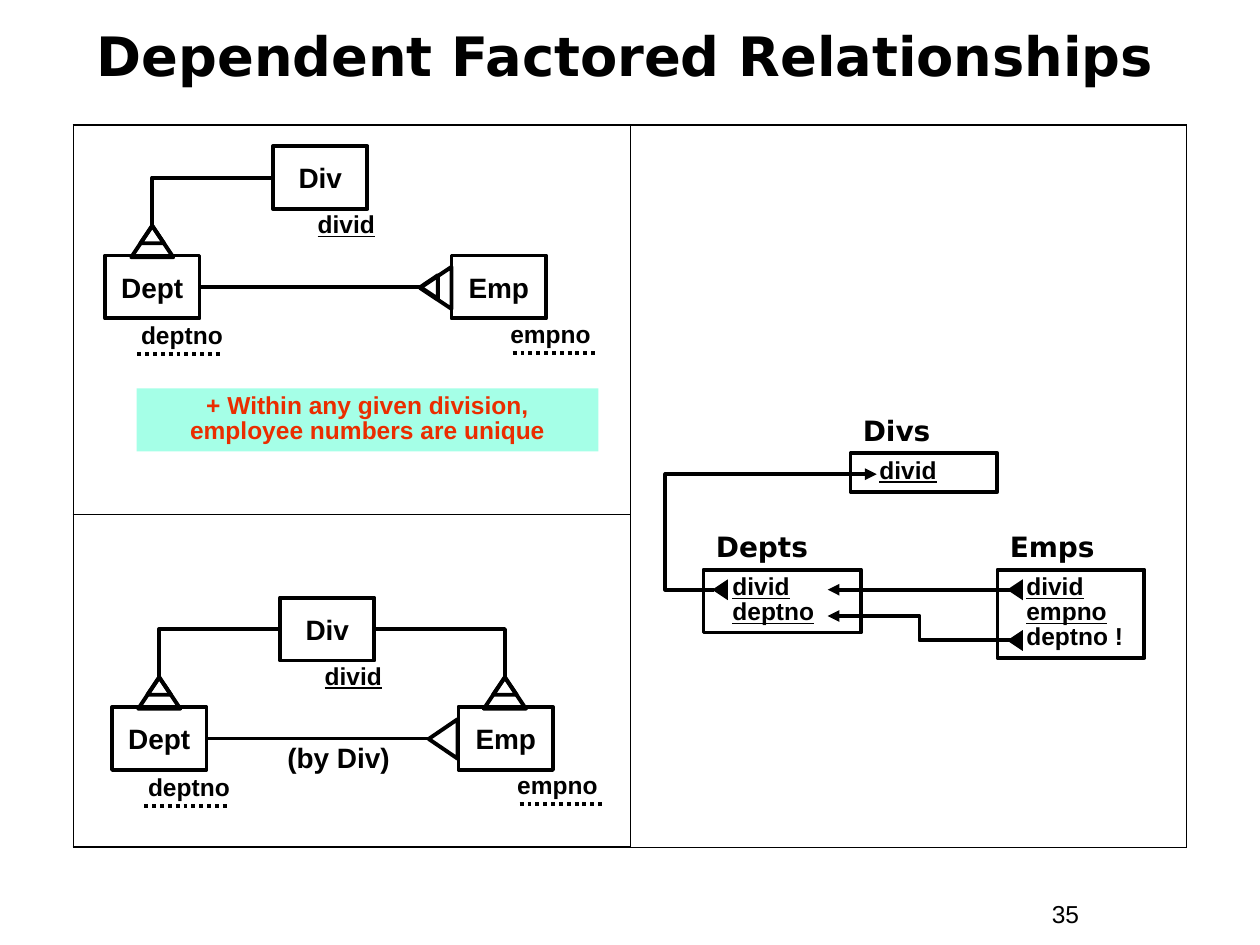
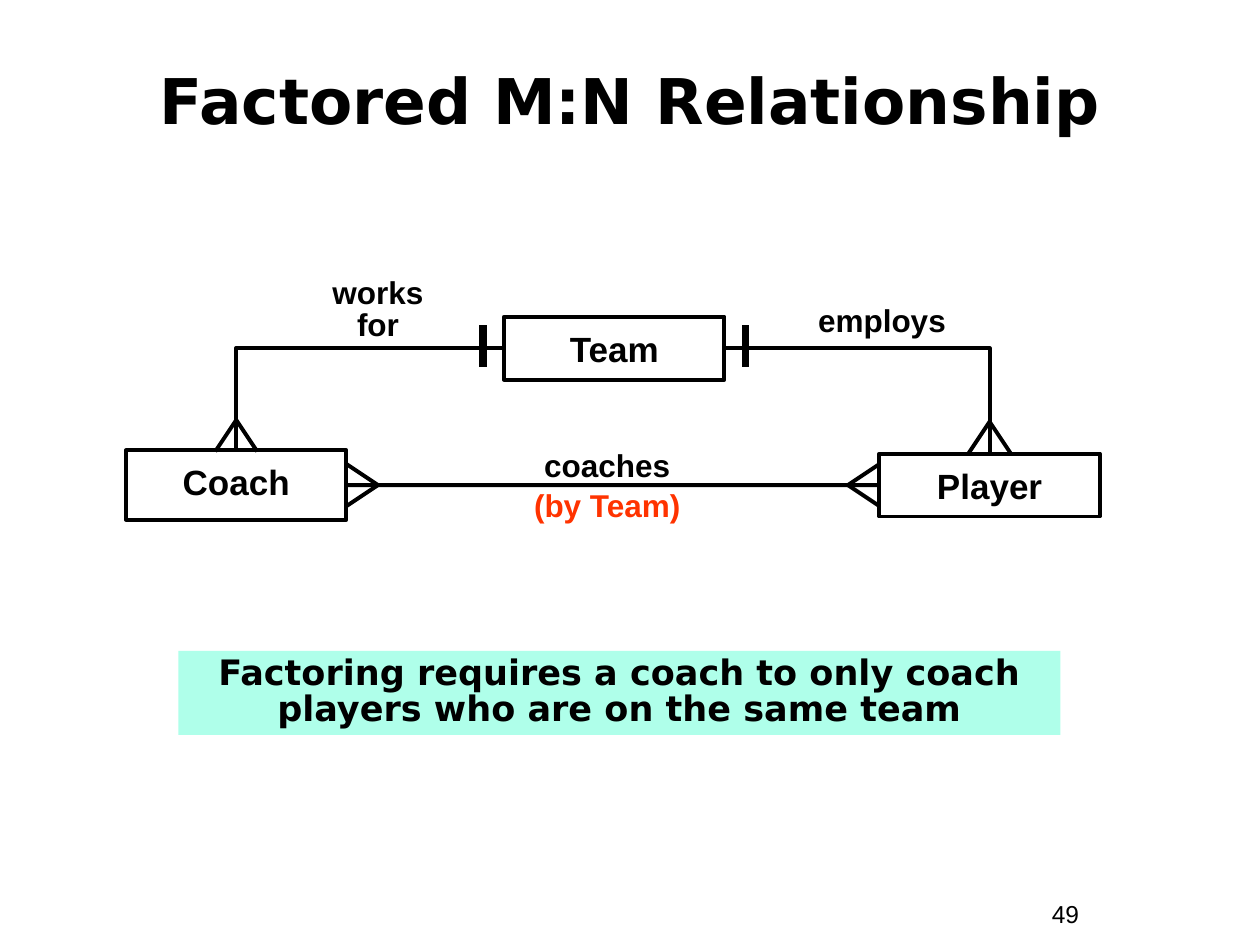
from lxml.etree import SubElement
from pptx import Presentation
from pptx.dml.color import RGBColor
from pptx.enum.dml import MSO_LINE
from pptx.enum.shapes import MSO_CONNECTOR, MSO_SHAPE
from pptx.enum.text import MSO_ANCHOR, PP_ALIGN
from pptx.oxml.ns import qn
from pptx.util import Pt

BLACK = "000000"
RED = "EA2D00"
ORANGE = "FF3300"
MINT = "A5FFE7"
PALE_MINT = "AFFFEA"
SANS = "DejaVu Sans"
LINE = 2.25


def write(page, text, left, top, width, height, size=14, font="Arial", color=BLACK,
          bold=True, underlined=0, centered=False, middle=False, spacing=1.0,
          inset=7.2, fill=None, border=False):
    box = page.shapes.add_shape(MSO_SHAPE.RECTANGLE, Pt(left), Pt(top), Pt(width), Pt(height)) \
        if fill or border else page.shapes.add_textbox(Pt(left), Pt(top), Pt(width), Pt(height))
    if fill or border:
        box.shadow.inherit = False
    if fill:
        box.fill.solid()
        box.fill.fore_color.rgb = RGBColor.from_string(fill)
    else:
        box.fill.background()
    if border:
        box.line.color.rgb = RGBColor.from_string(BLACK)
        box.line.width = Pt(LINE)
    else:
        box.line.fill.background()
    frame = box.text_frame
    frame.word_wrap = True
    frame.margin_left = Pt(inset)
    frame.vertical_anchor = MSO_ANCHOR.MIDDLE if middle else MSO_ANCHOR.TOP
    for index, line in enumerate(text.split("\n")):
        para = frame.add_paragraph() if index else frame.paragraphs[0]
        para.alignment = PP_ALIGN.CENTER if centered else PP_ALIGN.LEFT
        para.line_spacing = spacing
        span = para.add_run()
        span.text = line
        span.font.size = Pt(size)
        span.font.name = font
        span.font.bold = bold
        span.font.underline = index < underlined
        span.font.color.rgb = RGBColor.from_string(color)
    return box


def connect(page, x1, y1, x2, y2, kind="line", width=LINE, dotted=False, arrow=False, bend=None):
    connector = page.shapes.add_connector(MSO_CONNECTOR.STRAIGHT, Pt(x1), Pt(y1), Pt(x2), Pt(y2))
    connector.line.width = Pt(width)
    connector.line.color.rgb = RGBColor.from_string(BLACK)
    if dotted:
        connector.line.dash_style = MSO_LINE.ROUND_DOT
    properties = connector._element.spPr
    geometry = properties.find(qn("a:prstGeom"))
    geometry.set("prst", kind)
    if bend is not None:
        guides = geometry.find(qn("a:avLst"))
        SubElement(guides, qn("a:gd"), name="adj1", fmla=f"val {bend}")
    if arrow:
        SubElement(connector.line._get_or_add_ln(), qn("a:tailEnd"), type="triangle")
    SubElement(properties, qn("a:effectLst"))
    return connector


deck = Presentation()
deck.slide_width = Pt(720)
deck.slide_height = Pt(540)
titles = [
    ("Dependent Factored Relationships", "35", 42, 6, 630, 56, 31, 0.85),
    ("Factored M:N Relationship", "49", 24, 24, 672, 66, 36, 1.0),
]
pages = []
for title, number, left, top, width, height, size, spacing in titles:
    page = deck.slides.add_slide(deck.slide_layouts[6])
    write(page, number, 594, 510, 66, 24, bold=False)
    write(page, title, left, top, width, height, size=size, font=SANS,
          centered=True, middle=True, spacing=spacing)
    pages.append(page)
factored, many = pages

table = factored.shapes.add_table(2, 2, Pt(42), Pt(71.5), Pt(636), Pt(412.5)).table
table.first_row = False
table.horz_banding = False
for column in table.columns:
    column.width = Pt(318)
for row, height in zip(table.rows, (222.5, 190)):
    row.height = Pt(height)
for row in range(2):
    for column in range(2):
        cell = table.cell(row, column)
        cell.fill.background()
        properties = cell._tc.get_or_add_tcPr()
        outer_sides = {"L": column == 0, "R": column == 1, "T": row == 0, "B": row == 1}
        for index, (side, outer) in enumerate(outer_sides.items()):
            border = properties.makeelement(qn(f"a:ln{side}"), {"w": str(Pt(1.08 if outer else 0.45))})
            paint = SubElement(border, qn("a:solidFill"))
            SubElement(paint, qn("a:srgbClr"), val=BLACK)
            properties.insert(index, border)
table.cell(0, 1).merge(table.cell(1, 1))

for dx, dy in ((0, 0), (4, 258)):
    entities = {}
    for name, left, top in (("Dept", 60, 146), ("Emp", 258, 146), ("Div", 156, 83.5)):
        entities[name] = write(factored, name, left + dx, top + dy, 54, 36, size=16,
                               centered=True, middle=True, border=True)
    for key, left, top, width, underlined in (("deptno", 73.5, 181.5, 84, 0),
                                              ("empno", 284.5, 180.5, 66, 0),
                                              ("divid", 174.5, 118, 66, 1)):
        write(factored, key, left + dx, top + dy, width, 22, underlined=underlined, spacing=0.9)
    for left, y in ((78.5, 202.5), (293, 201.5)):
        connect(factored, left + dx, y + dy, left + 48 + dx, y + dy, dotted=True)
    connect(factored, 155 + dx, 101.5 + dy, 87 + dx, 129 + dy, "bentConnector2")
    link = connect(factored, 114 + dx, 164 + dy, 240.5 + dx, 164 + dy)
    link.begin_connect(entities["Dept"], 3)
connect(factored, 214.5, 359.5, 288.5, 387, "bentConnector2")

triangles = [(237, 155.5, 24, 18, 270, False), (238.5, 159, 13.5, 10, 270, False),
             (242, 414, 22.5, 16.5, 270, False), (405.5, 332.5, 12, 9, 270, True),
             (574, 332.5, 12, 9, 270, True), (574, 361.5, 12, 9, 270, True)]
for apex, top in ((87, 129), (91, 387), (288.5, 387)):
    triangles += [(apex - 12, top, 24, 18, 0, False), (apex - 6.75, top, 13.5, 10, 0, False)]
for left, top, width, height, rotation, solid in triangles:
    triangle = factored.shapes.add_shape(MSO_SHAPE.ISOSCELES_TRIANGLE, Pt(left), Pt(top),
                                         Pt(width), Pt(height))
    triangle.shadow.inherit = False
    triangle.rotation = rotation
    if solid:
        triangle.fill.solid()
        triangle.fill.fore_color.rgb = RGBColor.from_string(BLACK)
        triangle.line.fill.background()
    else:
        triangle.fill.background()
        triangle.line.color.rgb = RGBColor.from_string(BLACK)
        triangle.line.width = Pt(LINE)

write(factored, "+ Within any given division, employee numbers are unique", 78, 222, 264, 36,
      color=RED, centered=True, spacing=0.85, fill=MINT)
write(factored, "(by Div)", 145.5, 422, 96, 24, size=16, centered=True, spacing=0.9)

relations = [("Divs", "divid", 1, 486, 259, 84, 22),
             ("Depts", "divid\ndeptno", 2, 402, 325.5, 90, 36),
             ("Emps", "divid\nempno\ndeptno !", 2, 570, 325.5, 84, 50.5)]
for name, columns, underlined, left, top, width, height in relations:
    write(factored, name, left, top - 26.5, 78, 26.5, size=16, font=SANS)
    write(factored, columns, left, top, width, height, underlined=underlined,
          spacing=0.85, inset=16.5, border=True)
connect(factored, 408, 337, 501, 271, "bentConnector3", arrow=True, bend=-29900)
connect(factored, 578, 337, 473, 337, arrow=True)
connect(factored, 578, 366, 473, 352, "bentConnector3", arrow=True, bend=50000)

teams = {}
for name, left, top, height, spacing in (("Coach", 72, 257.4, 39.6, 0.85),
                                         ("Team", 288, 181, 36, 1.0),
                                         ("Player", 502.5, 259.2, 36, 1.0)):
    teams[name] = write(many, name, left, top, 126, height, size=20, centered=True,
                        middle=True, spacing=spacing, border=True)
connect(many, 288, 199, 135, 257, "bentConnector2")
connect(many, 414, 199, 565.5, 259, "bentConnector2")
coaches = connect(many, 198, 277.2, 502.5, 277.2)
coaches.begin_connect(teams["Coach"], 3)
coaches.end_connect(teams["Player"], 1)
for spread in (-12, 12):
    for apex, base in ((484.5, 502.5), (216, 198)):
        connect(many, apex, 277.2, base, 277.2 + spread)
    for x, apex in ((135, 240), (565.5, 241)):
        connect(many, x, apex, x + spread, apex + 18)
for x in (276, 426):
    connect(many, x, 186, x, 210, width=4.5)

write(many, "works\nfor", 156, 156, 120, 44, size=18, centered=True, spacing=0.85)
write(many, "employs", 444, 172, 120, 26, size=18, centered=True, spacing=0.85)
label = write(many, "coaches\n(by Team)", 280, 250.5, 134, 52.5, size=18, centered=True, spacing=1.05)
label.text_frame.paragraphs[1].runs[0].font.color.rgb = RGBColor.from_string(ORANGE)
write(many, "Factoring requires a coach to only coach players who are on the same team",
      102, 372, 504, 48, size=20, font=SANS, centered=True, spacing=0.85, fill=PALE_MINT)

deck.save("out.pptx")
